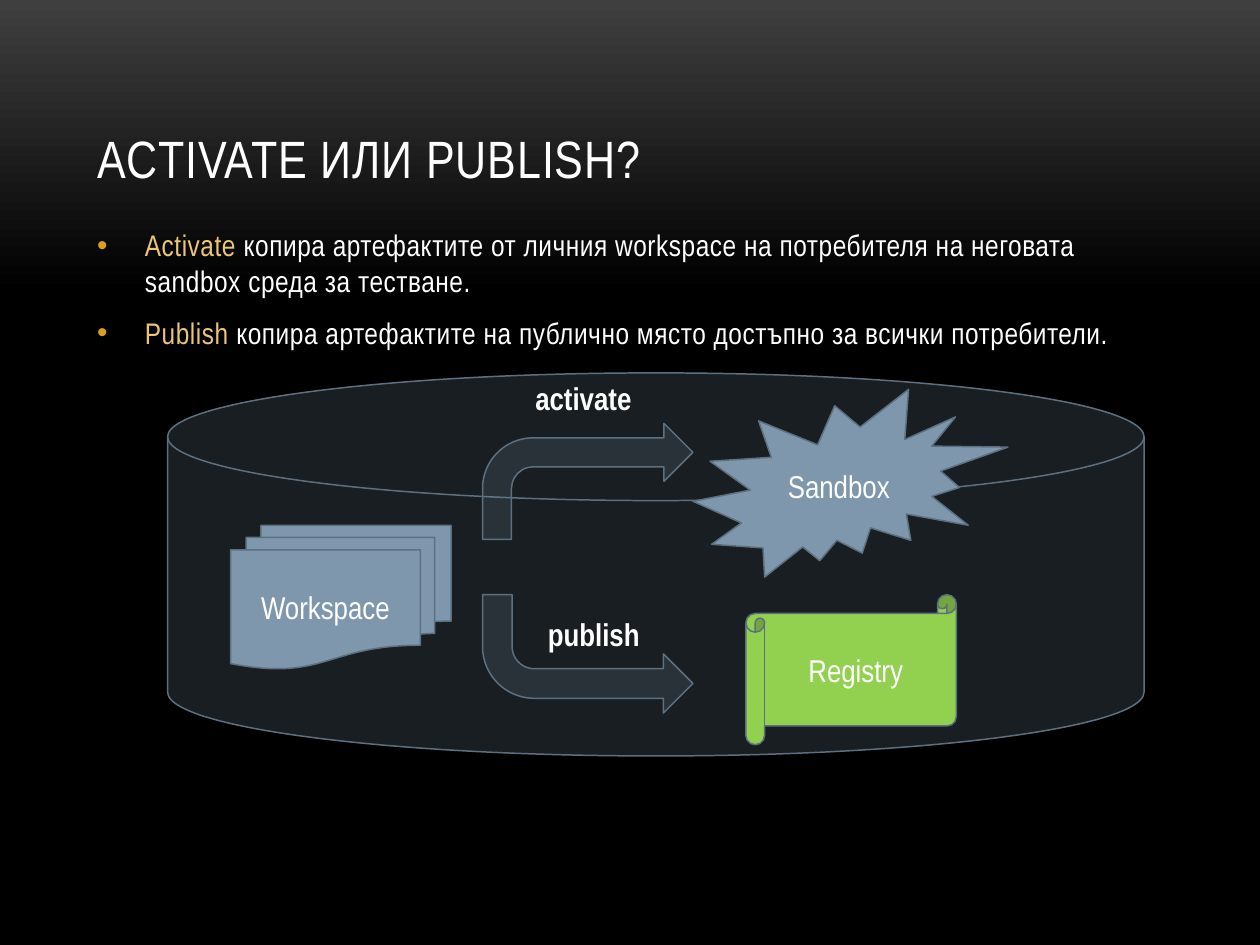
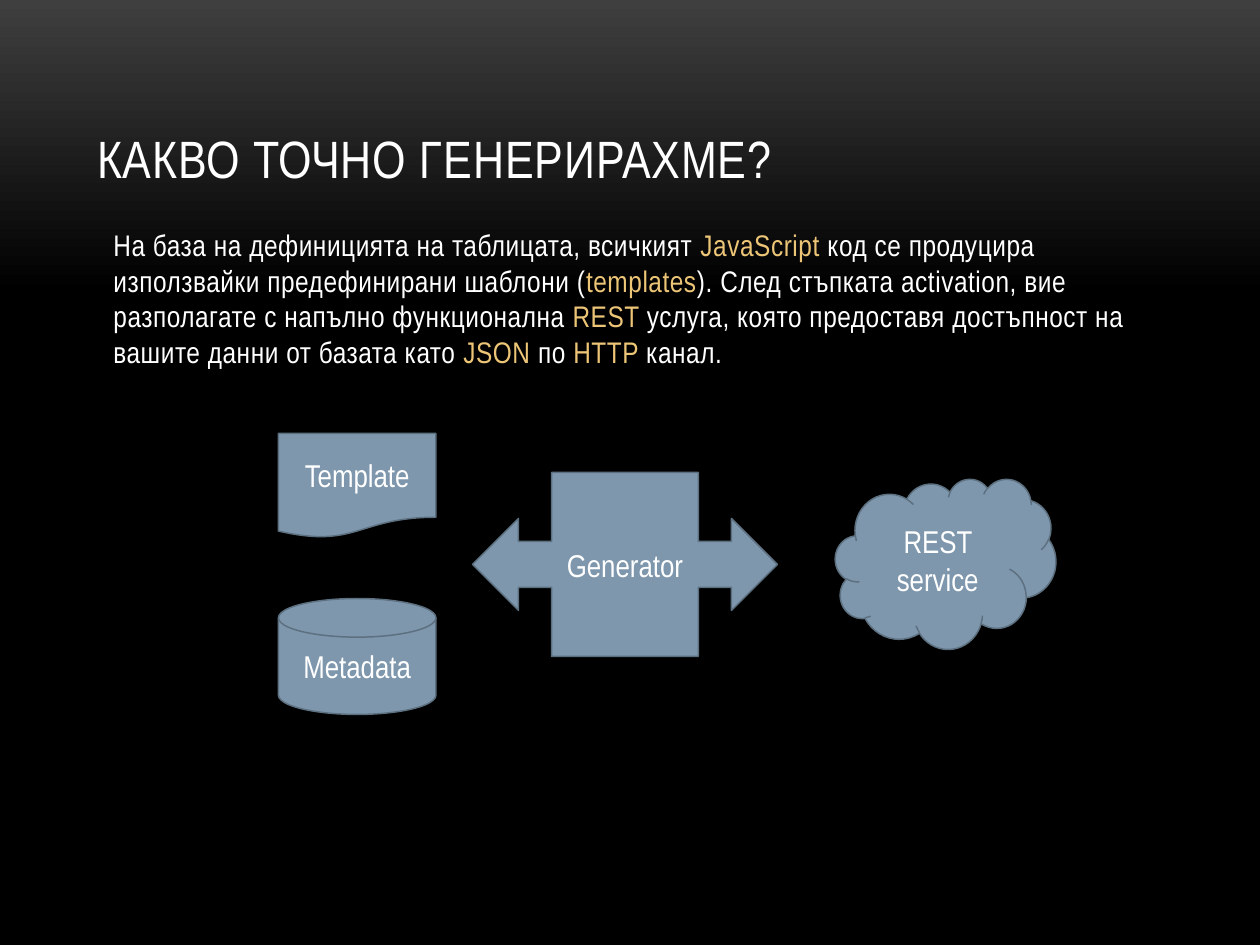
from copy import deepcopy

from lxml.etree import SubElement
from pptx import Presentation
from pptx.dml.color import RGBColor
from pptx.enum.shapes import MSO_SHAPE
from pptx.enum.text import MSO_ANCHOR, MSO_AUTO_SIZE, PP_ALIGN
from pptx.oxml.ns import qn
from pptx.util import Inches, Pt

COLORS = {
    "glow": "3F3F3F",
    "night": "000000",
    "text": "FFFFFF",
    "accent": "ECC577",
    "bullet": "DC9E1F",
    "steel": "7E97AD",
    "outline": "5D7080",
    "registry": "92D050",
}
FONT = "Arial Narrow"
TITLE_BOX = (0.67, 0.3, 8.67, 1.25)
BODY_BOX = (0.67, 1.75, 8.67, 4.5)


def rgb(name):
    return RGBColor.from_string(COLORS[name])


def place(item, box):
    item.left, item.top, item.width, item.height = map(Inches, box)


def write(paragraph, text, size=18, bold=False, spacing=0, align=PP_ALIGN.LEFT):
    """Text between bars takes the accent colour."""
    paragraph.alignment = align
    for index, part in enumerate(text.split("|")):
        if not part:
            continue
        run = paragraph.add_run()
        run.text = part
        run.font.name = FONT
        run.font.size = Pt(size)
        run.font.bold = bold
        run.font.color.rgb = rgb("accent" if index % 2 else "text")
        if spacing:
            run.font._element.set("spc", str(round(spacing * 100)))


def set_indent(paragraph, margin, first_line, bullet):
    properties = paragraph._p.get_or_add_pPr()
    properties.set("marL", str(Inches(margin)))
    properties.set("indent", str(Inches(first_line)))
    if bullet:
        color = SubElement(properties, qn("a:buClr"))
        SubElement(color, qn("a:srgbClr"), val=COLORS["bullet"])
        SubElement(properties, qn("a:buFont"), typeface="Arial")
        SubElement(properties, qn("a:buChar"), char=bullet)
    else:
        SubElement(properties, qn("a:buNone"))


def paint_background(master):
    fill = master.background.fill
    fill.gradient()
    fill.gradient_angle = 270
    for stop, color, position in zip(fill.gradient_stops, ("glow", "night"), (0, 0.31)):
        stop.color.rgb = rgb(color)
        stop.position = position
    black_stop = master._element.cSld.findall(".//" + qn("a:gs"))[-1]
    last_stop = deepcopy(black_stop)
    last_stop.set("pos", "100000")
    black_stop.addnext(last_stop)


def add_content_slide(deck, heading, items, margin, first_line=0, bullet=None):
    slide = deck.slides.add_slide(deck.slide_layouts[1])
    title, body = slide.placeholders
    for holder, box, anchor in (
        (title, TITLE_BOX, MSO_ANCHOR.BOTTOM),
        (body, BODY_BOX, MSO_ANCHOR.TOP),
    ):
        place(holder, box)
        holder.text_frame.vertical_anchor = anchor
        holder.text_frame.auto_size = MSO_AUTO_SIZE.NONE
        holder.text_frame.word_wrap = True
    write(title.text_frame.paragraphs[0], heading, size=30, spacing=0.5)
    for index, item in enumerate(items):
        frame = body.text_frame
        paragraph = frame.add_paragraph() if index else frame.paragraphs[0]
        paragraph.space_before = Pt(3.4)
        paragraph.space_after = Pt(6)
        set_indent(paragraph, margin, first_line, bullet)
        write(paragraph, item, size=17, spacing=0.3)
    return slide


def add_node(slide, kind, origin, box, text="", fill="steel", opacity=100, flip=False):
    left, top, width, height = box
    node = slide.shapes.add_shape(kind, 0, 0, 0, 0)
    place(node, (origin[0] + left, origin[1] + top, width, height))
    node.shadow.inherit = False
    node.fill.solid()
    node.fill.fore_color.rgb = rgb(fill)
    node.line.color.rgb = rgb("outline")
    node.line.width = Pt(0.85)
    properties = node._element.spPr
    if opacity < 100:
        color = properties.find(qn("a:solidFill")).find(qn("a:srgbClr"))
        SubElement(color, qn("a:alpha"), val=str(opacity * 1000))
    if flip:
        properties.find(qn("a:xfrm")).set("flipV", "1")
    if text:
        node.text_frame.vertical_anchor = MSO_ANCHOR.MIDDLE
        write(node.text_frame.paragraphs[0], text, align=PP_ALIGN.CENTER)


def add_label(slide, origin, box, text):
    left, top, width, height = box
    label = slide.shapes.add_textbox(0, 0, 0, 0)
    place(label, (origin[0] + left, origin[1] + top, width, height))
    label.text_frame.word_wrap = False
    label.text_frame.auto_size = MSO_AUTO_SIZE.SHAPE_TO_FIT_TEXT
    write(label.text_frame.paragraphs[0], text, bold=True)


def draw_repository(slide, origin, width, height):
    add_node(slide, MSO_SHAPE.FLOWCHART_MAGNETIC_DISK, origin,
             (0, 0, width, height), opacity=20)
    for top, arrow_height, flip in ((0.4, 0.92, False), (1.76, 0.94, True)):
        add_node(slide, MSO_SHAPE.BENT_ARROW, origin,
                 (2.5, top, 1.67, arrow_height), opacity=17, flip=flip)
    add_label(slide, origin, (2.82, 0, 1.08, 0.4), "activate")
    add_label(slide, origin, (2.92, 1.87, 0.99, 0.4), "publish")
    for kind, box, text, fill in (
        (MSO_SHAPE.FLOWCHART_MULTIDOCUMENT, (0.5, 1.21, 1.75, 1.14), "Workspace", "steel"),
        (MSO_SHAPE.EXPLOSION2, (4.17, 0.13, 2.5, 1.49), "Sandbox", "steel"),
        (MSO_SHAPE.HORIZONTAL_SCROLL, (4.59, 1.76, 1.67, 1.19), "Registry", "registry"),
    ):
        add_node(slide, kind, origin, box, text, fill)


def draw_generation(slide, origin):
    for kind, box, text in (
        (MSO_SHAPE.FLOWCHART_DOCUMENT, (0, 0, 1.25, 0.83), "Template"),
        (MSO_SHAPE.FLOWCHART_MAGNETIC_DISK, (0, 1.31, 1.25, 0.92), "Metadata"),
        (MSO_SHAPE.LEFT_RIGHT_ARROW_CALLOUT, (1.54, 0.31, 2.42, 1.46), "Generator"),
        (MSO_SHAPE.CLOUD, (4.42, 0.36, 1.75, 1.35), "REST service"),
    ):
        add_node(slide, kind, origin, box, text)


def main():
    deck = Presentation()
    deck.slide_width, deck.slide_height = Inches(10), Inches(7.5)
    paint_background(deck.slide_master)

    publishing = add_content_slide(
        deck,
        "ACTIVATE ИЛИ PUBLISH?",
        [
            "|Activate |копира артефактите от личния workspace на потребителя "
            "на неговата sandbox среда за тестване.",
            "|Publish |копира артефактите на публично място достъпно за всички потребители.",
        ],
        margin=0.38, first_line=-0.38, bullet="•",
    )
    draw_repository(publishing, (1.33, 2.96), 7.75, 3.04)

    generation = add_content_slide(
        deck,
        "КАКВО ТОЧНО ГЕНЕРИРАХМЕ?",
        [
            "На база на дефиницията на таблицата, всичкият |JavaScript |код се продуцира "
            "използвайки предефинирани шаблони (|templates|). След стъпката activation, "
            "вие разполагате с напълно функционална |REST |услуга, която предоставя "
            "достъпност на вашите данни от базата като |JSON |по |HTTP |канал."
        ],
        margin=0.13,
    )
    draw_generation(generation, (2.21, 3.44))

    deck.save("out.pptx")


if __name__ == "__main__":
    main()
